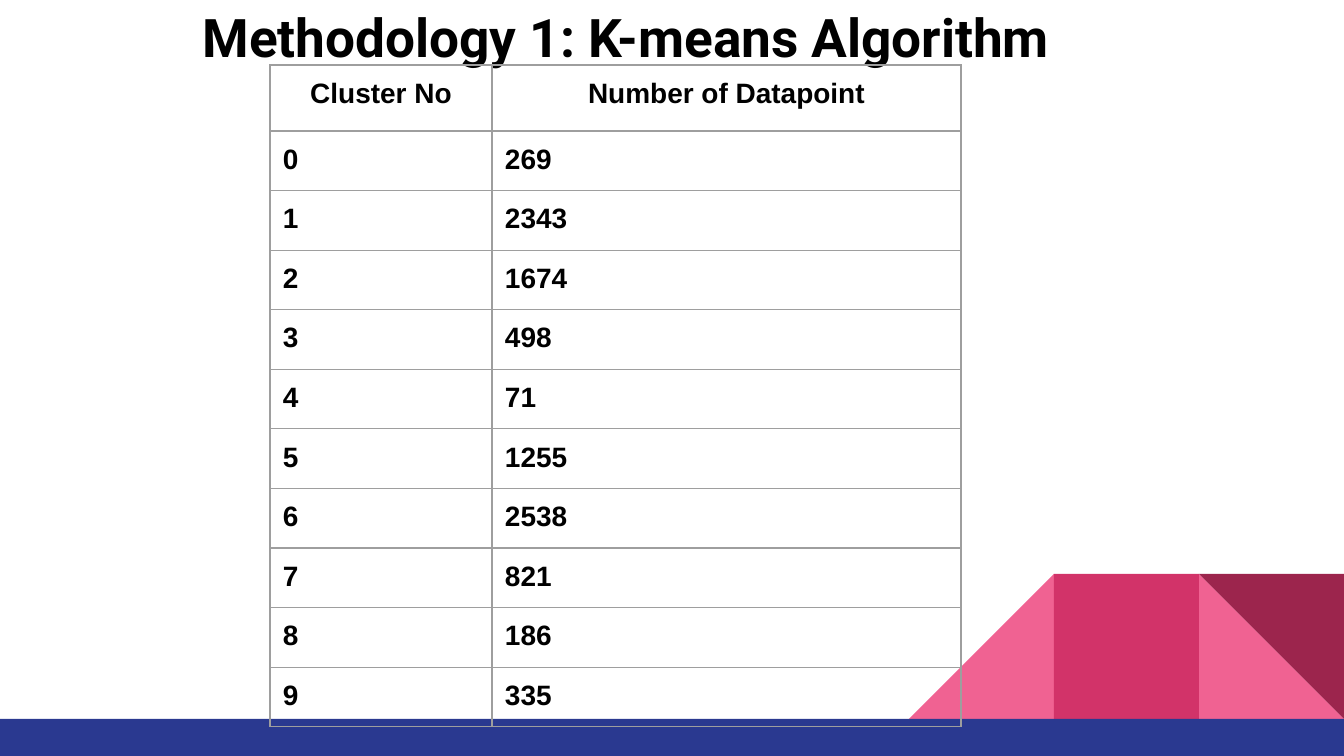
from lxml import etree
from pptx import Presentation
from pptx.dml.color import RGBColor
from pptx.enum.shapes import MSO_SHAPE
from pptx.enum.text import MSO_ANCHOR, PP_ALIGN
from pptx.oxml.ns import qn
from pptx.util import Pt

TRIANGLE, RECT = MSO_SHAPE.RIGHT_TRIANGLE, MSO_SHAPE.RECTANGLE
LEFT, CENTER = PP_ALIGN.LEFT, PP_ALIGN.CENTER
TOP = MSO_ANCHOR.TOP

TITLE = "Methodology 1: K-means Algorithm"
HEADER = ("Cluster No", "Number of Datapoint")
CLUSTER_SIZES = [269, 2343, 1674, 498, 71, 1255, 2538, 821, 186, 335]
COLORS = {
    "text": "000000",
    "border": "9E9E9E",
    "pink": "F06292",
    "rose": "D23369",
    "wine": "9C254D",
    "navy": "2A3990",
}
SLIDE_W, SLIDE_H = 1344, 756
BAR_TOP, TILE = 719, 145
TILES = [
    (1, TRIANGLE, "pink", False, 0),
    (3, TRIANGLE, "pink", True, 0),
    (2, RECT, "rose", False, 0),
    (1, TRIANGLE, "wine", False, 180),
]
TABLE_LEFT, TABLE_TOP = 270, 65
COLUMN_WIDTHS = (222, 469)
HEADER_HEIGHT, ROW_HEIGHT = 66, 58
INSET = 13


def px(length):
    return round(length * 914400 / 134.4)


def write(frame, text, *, size, font, align=LEFT):
    frame.word_wrap = True
    paragraph = frame.paragraphs[0]
    paragraph.alignment = align
    run = paragraph.add_run()
    run.text = text
    run.font.size = Pt(size)
    run.font.name = font
    run.font.bold = True
    run.font.color.rgb = RGBColor.from_string(COLORS["text"])


def set_insets(target):
    target.margin_left = target.margin_right = px(INSET)
    target.margin_top = target.margin_bottom = px(INSET)
    target.vertical_anchor = TOP


def add_block(slide, kind, left, top, width, height, color):
    block = slide.shapes.add_shape(kind, px(left), px(top), px(width), px(height))
    block.shadow.inherit = False
    block.fill.solid()
    block.fill.fore_color.rgb = RGBColor.from_string(COLORS[color])
    block.line.fill.background()
    return block


def add_borders(cell):
    properties = cell._tc.get_or_add_tcPr()
    for side in ("a:lnL", "a:lnR", "a:lnT", "a:lnB"):
        line = etree.SubElement(properties, qn(side), w=str(Pt(0.75)))
        fill = etree.SubElement(line, qn("a:solidFill"))
        etree.SubElement(fill, qn("a:srgbClr"), val=COLORS["border"])


def add_decoration(slide):
    for position, kind, color, flipped, rotation in TILES:
        tile = add_block(slide, kind, SLIDE_W - position * TILE, BAR_TOP - TILE,
                         TILE, TILE, color)
        tile.rotation = rotation
        if flipped:
            tile._element.spPr.find(qn("a:xfrm")).set("flipH", "1")
    add_block(slide, RECT, 0, BAR_TOP, SLIDE_W, SLIDE_H - BAR_TOP, "navy")


def add_cluster_table(slide):
    records = [HEADER] + [(str(n), str(size)) for n, size in enumerate(CLUSTER_SIZES)]
    heights = [HEADER_HEIGHT] + [ROW_HEIGHT] * len(CLUSTER_SIZES)
    table = slide.shapes.add_table(
        len(records), len(HEADER), px(TABLE_LEFT), px(TABLE_TOP),
        px(sum(COLUMN_WIDTHS)), px(sum(heights))).table
    table.first_row = table.horz_banding = False
    for column, width in zip(table.columns, COLUMN_WIDTHS):
        column.width = px(width)
    for row, height, record in zip(table.rows, heights, records):
        row.height = px(height)
        for cell, value in zip(row.cells, record):
            set_insets(cell)
            add_borders(cell)
            cell.fill.background()
            write(cell.text_frame, value, size=15, font="Arial",
                  align=CENTER if record is HEADER else LEFT)


def main():
    deck = Presentation()
    deck.slide_width, deck.slide_height = px(SLIDE_W), px(SLIDE_H)
    slide = deck.slides.add_slide(deck.slide_layouts[6])
    add_decoration(slide)
    title = slide.shapes.add_textbox(0, px(-9), px(1252), px(89)).text_frame
    set_insets(title)
    write(title, TITLE, size=28.5, font="Roboto", align=CENTER)
    add_cluster_table(slide)
    deck.save("out.pptx")


if __name__ == "__main__":
    main()
